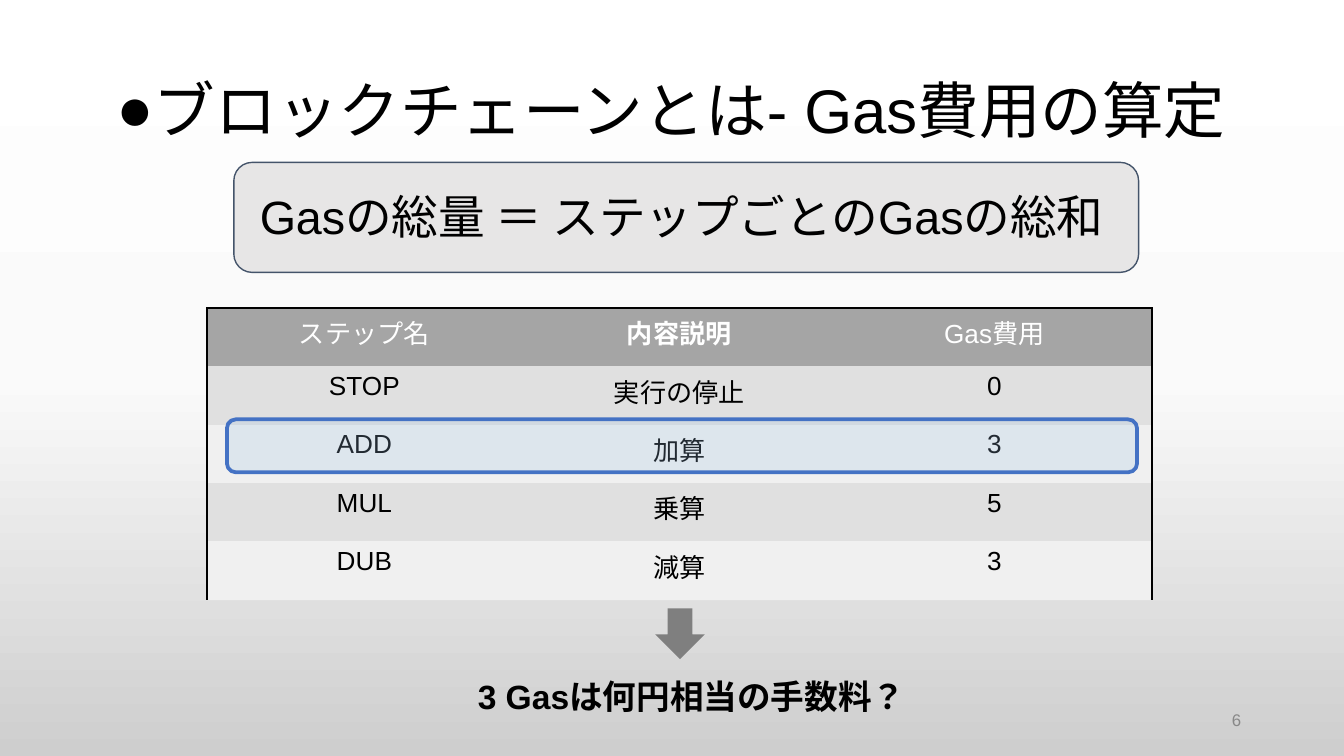
import dataclasses

import pptx
import pptx.dml.color
import pptx.enum.lang
import pptx.enum.shapes
import pptx.enum.text
import pptx.oxml
import pptx.oxml.ns
import pptx.util

Cm, Pt = pptx.util.Cm, pptx.util.Pt
SHAPE = pptx.enum.shapes.MSO_SHAPE
ALIGN = pptx.enum.text.PP_ALIGN
ANCHOR = pptx.enum.text.MSO_ANCHOR
NS = pptx.oxml.ns.nsdecls("a")
NO_STYLE_NO_GRID = "{2D5ABB26-0587-4C30-8999-92F81FD0307C}"


@dataclasses.dataclass(frozen=True)
class Theme:
    font: str = "Arial"
    text: str = "000000"
    white: str = "FFFFFF"
    number: str = "888888"
    header: str = "A5A5A5"
    bands: tuple = ("E0E0E0", "F0F0F0")
    panel: str = "E7E6E6"
    panel_line: str = "44546A"
    arrow: str = "7F7F7F"
    mark: str = "9DC3E6"
    mark_line: str = "4472C4"
    background: tuple = ((0, "FFFFFF"), (50, "FAFAFA"), (100, "CECECE"))
    title_size: int = 33
    formula_size: int = 25
    question_size: int = 18
    table_size: int = 14
    number_size: int = 9


THEME = Theme()
ROWS = [
    ("ステップ名", "内容説明", "Gas費用"),
    ("STOP", "実行の停止", "0"),
    ("ADD", "加算", "3"),
    ("MUL", "乗算", "5"),
    ("DUB", "減算", "3"),
]


def rgb(value):
    return pptx.dml.color.RGBColor.from_string(value)


def write(tf, text, size, color=THEME.text, bold=False, align=ALIGN.LEFT):
    tf.text = text
    p = tf.paragraphs[0]
    p.alignment = align
    for r in p.runs:
        r.font.name = THEME.font
        r.font.size = Pt(size)
        r.font.bold = bold
        r.font.color.rgb = rgb(color)
        r.font.language_id = pptx.enum.lang.MSO_LANGUAGE_ID.JAPANESE
    return p


def set_frame(tf, anchor=ANCHOR.TOP, wrap=True):
    tf.word_wrap = wrap
    tf.auto_size = pptx.enum.text.MSO_AUTO_SIZE.NONE
    tf.vertical_anchor = anchor
    tf.margin_left = tf.margin_right = Cm(0.19)
    tf.margin_top = tf.margin_bottom = Cm(0.1)


def add_label(slide, box, text, size, anchor=ANCHOR.TOP, wrap=True, **style):
    tf = slide.shapes.add_textbox(*map(Cm, box)).text_frame
    set_frame(tf, anchor, wrap)
    write(tf, text, size, **style)


def add_block(slide, kind, box, fill, line=None, width=0):
    sp = slide.shapes.add_shape(kind, *map(Cm, box))
    sp.shadow.inherit = False
    sp.fill.solid()
    sp.fill.fore_color.rgb = rgb(fill)
    if line:
        sp.line.color.rgb = rgb(line)
        sp.line.width = Pt(width)
    else:
        sp.line.fill.background()
    return sp


def paint_background(slide):
    fill = slide.background.fill
    fill.gradient()
    fill.gradient_angle = 270
    stops = slide.element.xpath(".//p:bg//a:gsLst")[0]
    for stop in list(stops):
        stops.remove(stop)
    for position, color in THEME.background:
        stops.append(pptx.oxml.parse_xml(
            f'<a:gs {NS} pos="{position * 1000}"><a:srgbClr val="{color}"/></a:gs>'))


def place_title(slide, box, text):
    sp = slide.shapes.title
    sp.left, sp.top, sp.width, sp.height = map(Cm, box)
    set_frame(sp.text_frame, ANCHOR.MIDDLE)
    p = write(sp.text_frame, text, THEME.title_size)
    p.line_spacing = 0.9
    # Hanging bullet
    pPr = p._p.get_or_add_pPr()
    pPr.set("marL", str(Cm(0.97)))
    pPr.set("indent", str(-Cm(0.71)))
    for bullet in (
        f'<a:buClr {NS}><a:srgbClr val="{THEME.text}"/></a:buClr>',
        f'<a:buFont {NS} typeface="{THEME.font}"/>',
        f'<a:buChar {NS} char="●"/>',
    ):
        pPr.append(pptx.oxml.parse_xml(bullet))


def add_formula(slide, box, text):
    left, top, width, height = box
    sp = add_block(slide, SHAPE.ROUNDED_RECTANGLE, box, THEME.panel, THEME.panel_line, 0.75)
    sp.adjustments[0] = 0.167
    add_label(slide, (left + 0.3, top + 0.38, width + 0.1, height - 0.8), text,
              THEME.formula_size, wrap=False)


def add_border(cell, side):
    cell._tc.get_or_add_tcPr().append(pptx.oxml.parse_xml(
        f'<a:ln{side} {NS} w="{Pt(1)}"><a:solidFill><a:srgbClr val="{THEME.text}"/>'
        f'</a:solidFill></a:ln{side}>'))


def add_cost_table(slide, box, rows, marked):
    left, top, width, height = box
    columns = len(rows[0])
    frame = slide.shapes.add_table(len(rows), columns, *map(Cm, box))
    frame.element.xpath(".//a:tableStyleId")[0].text = NO_STYLE_NO_GRID
    for r, row in enumerate(rows):
        for c, text in enumerate(row):
            cell = frame.table.cell(r, c)
            # Outer frame, open at the bottom
            for side, wanted in (("L", c == 0), ("R", c == columns - 1), ("T", r == 0)):
                if wanted:
                    add_border(cell, side)
            cell.margin_left = cell.margin_right = Cm(0.2)
            cell.margin_top = cell.margin_bottom = Cm(0.1)
            cell.fill.solid()
            cell.fill.fore_color.rgb = rgb(THEME.bands[(r - 1) % 2] if r else THEME.header)
            write(cell.text_frame, text, THEME.table_size,
                  color=THEME.text if r else THEME.white,
                  bold=r == 0 and c == 1, align=ALIGN.CENTER)
    # Translucent mark over one row
    row_height = height / len(rows)
    mark = add_block(slide, SHAPE.ROUNDED_RECTANGLE,
                     (left + 0.38, top + marked * row_height - 0.1, width - 0.66, 1),
                     THEME.mark, THEME.mark_line, 2)
    color = mark.element.xpath("./p:spPr/a:solidFill/a:srgbClr")[0]
    color.append(pptx.oxml.parse_xml(f'<a:alpha {NS} val="22000"/>'))


def add_question(slide, box, text):
    left, top, width, height = box
    arrow = add_block(slide, SHAPE.RIGHT_ARROW, (left + 3.53, top, 0.96, 0.94), THEME.arrow)
    arrow.rotation = 90
    add_label(slide, (left, top + 1.17, width, height - 1.17), text,
              THEME.question_size, wrap=False, bold=True)


def main():
    prs = pptx.Presentation()
    prs.slide_width, prs.slide_height = Cm(25.4), Cm(14.29)
    slide = prs.slides.add_slide(prs.slide_layouts[5])
    paint_background(slide)
    place_title(slide, (1.75, 0.76, 21.9, 2.77), "ブロックチェーンとは- Gas費用の算定")
    add_label(slide, (17.93, 13.23, 5.72, 0.76), "6", THEME.number_size,
              anchor=ANCHOR.MIDDLE, color=THEME.number, align=ALIGN.RIGHT)
    add_formula(slide, (4.42, 3.07, 17.1, 2.08), "Gasの総量 ＝ ステップごとのGasの総和")
    add_cost_table(slide, (3.91, 5.82, 17.86, 5.52), ROWS, marked=2)
    add_question(slide, (8.84, 11.51, 9.5, 2.14), "3 Gasは何円相当の手数料？")
    prs.save("out.pptx")


if __name__ == "__main__":
    main()
